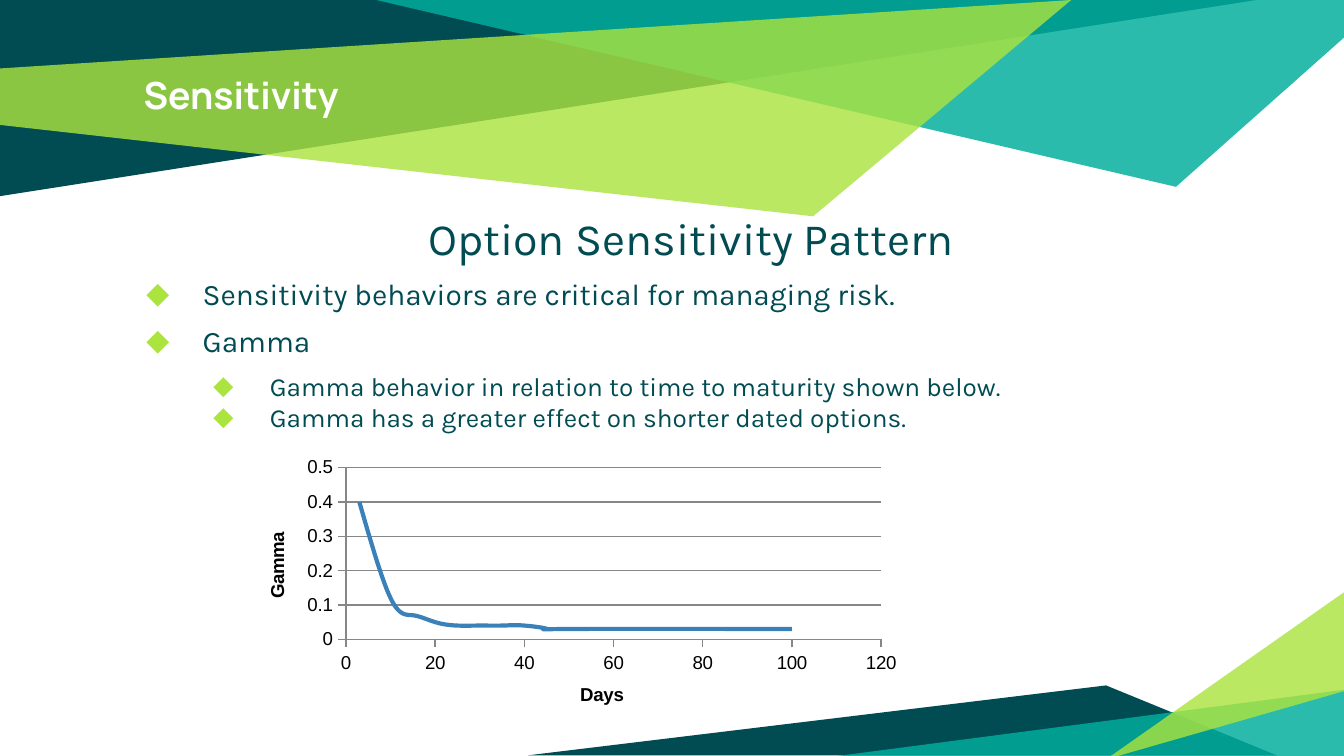
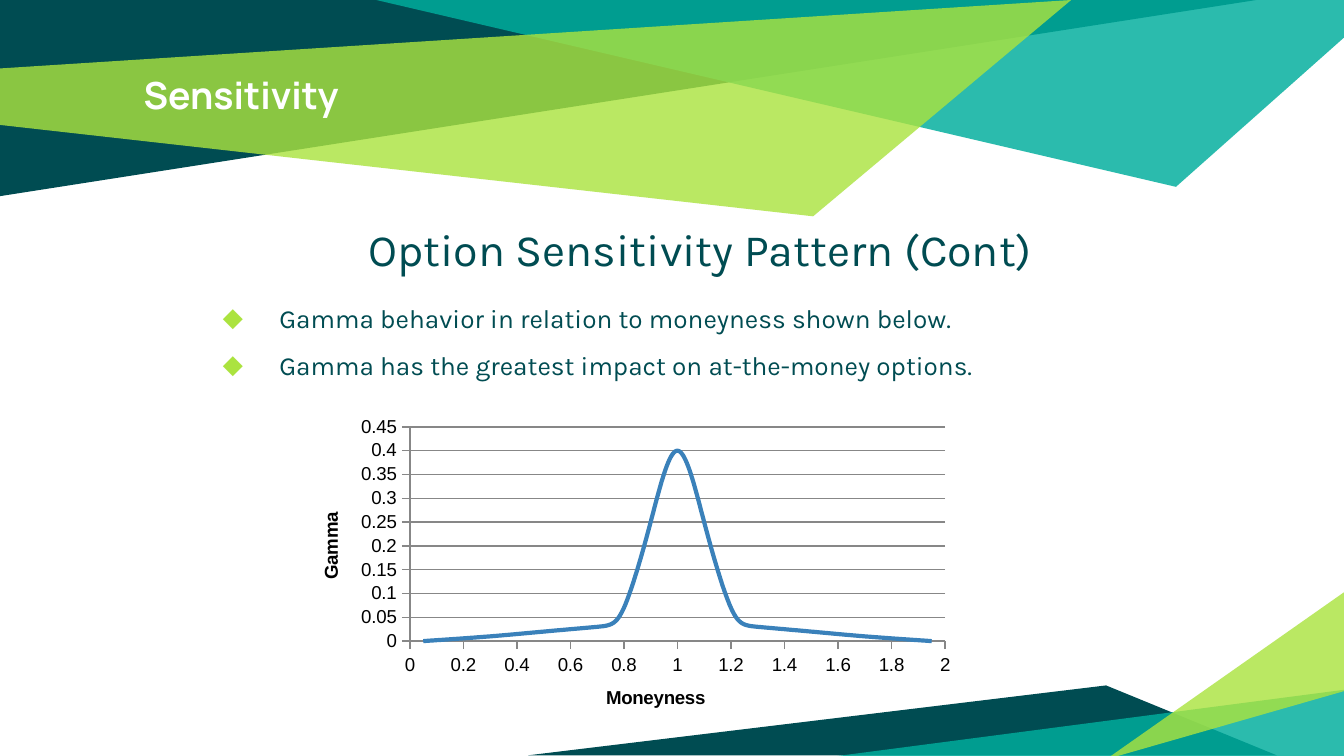
from lxml.etree import SubElement
from pptx import Presentation
from pptx.chart.data import XyChartData
from pptx.dml.color import RGBColor
from pptx.enum.chart import XL_CHART_TYPE, XL_TICK_MARK
from pptx.enum.text import MSO_ANCHOR, PP_ALIGN
from pptx.oxml.ns import qn
from pptx.util import Inches, Pt

DARK, TEAL, LIME = "004C52", "00AE9D", "ABE33F"
WHITE, BLACK, GRID, CURVE = "FFFFFF", "000000", "878787", "3A81BA"
HEAD_FONT, BODY_FONT, CHART_FONT = "Manrope", "Karla", "Arial"

# Points in inches, fill, opacity in percent; from back to front
BANDS = [
    ([(0, 0), (0, 1.46), (9.35, 0)], DARK, 100),
    ([(2.8, 0), (8.75, 1.39), (10, 0.28), (10, 0)], TEAL, 83),
    ([(-0.01, 0.51), (0, 0.93), (6.05, 1.61), (7.97, 0)], LIME, 81),
    ([(3.93, 5.62), (9.5, 5.62), (8.23, 5.1)], DARK, 100),
    ([(10.02, 5.13), (10.02, 5.65), (6.04, 5.65)], TEAL, 83),
    ([(10.01, 5.14), (10.01, 4.4), (8.23, 5.65)], LIME, 81),
]

GAMMA_BY_DAYS = [
    (3, 0.4), (10, 0.12), (15, 0.07), (20, 0.05), (25, 0.04), (30, 0.04),
    (35, 0.04), (40, 0.04), (45, 0.03), (50, 0.03), (100, 0.03),
]
GAMMA_BY_MONEYNESS = [
    (0.05, 0), (0.3, 0.01), (0.5, 0.02), (0.7, 0.03), (0.8, 0.07),
    (0.9, 0.25), (1, 0.4), (1.1, 0.25), (1.2, 0.07), (1.3, 0.03),
    (1.5, 0.02), (1.7, 0.01), (1.95, 0),
]


def rgb(color):
    return RGBColor.from_string(color)


def style_font(font, name, size, color, bold=False):
    font.name, font.size, font.bold = name, Pt(size), bold
    font.color.rgb = rgb(color)


def add_band(slide, points, color, opacity):
    start, *rest = [(Inches(x), Inches(y)) for x, y in points]
    builder = slide.shapes.build_freeform(*start)
    builder.add_line_segments(rest, close=True)
    sp = builder.convert_to_shape()
    sp.shadow.inherit = False
    sp.line.fill.background()
    sp.fill.solid()
    sp.fill.fore_color.rgb = rgb(color)
    if opacity < 100:
        clr = sp.fill._xPr.find(".//" + qn("a:srgbClr"))
        SubElement(clr, qn("a:alpha"), val=str(opacity * 1000))


def add_text_frame(slide, box):
    tf = slide.shapes.add_textbox(*map(Inches, box)).text_frame
    tf.word_wrap = True
    tf.vertical_anchor = MSO_ANCHOR.TOP
    tf.margin_left = tf.margin_right = Inches(0.1)
    tf.margin_top = tf.margin_bottom = Inches(0.1)
    return tf


def add_title(slide, text):
    p = add_text_frame(slide, (0.97, 0.44, 8.06, 0.64)).paragraphs[0]
    p.text = text
    style_font(p.runs[0].font, HEAD_FONT, 20, WHITE, bold=True)


def set_indent(p, left, first=0):
    pPr = p._p.get_or_add_pPr()
    pPr.set("marL", str(Inches(left)))
    pPr.set("indent", str(Inches(first)))
    return pPr


def add_bullet(p, left):
    pPr = set_indent(p, left, -0.42)
    clr = SubElement(pPr, qn("a:buClr"))
    SubElement(clr, qn("a:srgbClr"), val=LIME)
    SubElement(pPr, qn("a:buFont"), typeface=BODY_FONT)
    SubElement(pPr, qn("a:buChar"), char="◆")


def add_body(slide, box, heading, bullets, line_spacing=1.0):
    """Centred heading over bullets given as (level, space before, text)."""
    tf = add_text_frame(slide, box)
    p = tf.paragraphs[0]
    p.text = heading
    p.alignment = PP_ALIGN.CENTER
    p.space_before = Pt(6)
    set_indent(p, 0.08)
    style_font(p.runs[0].font, BODY_FONT, 24, DARK)
    for level, before, text in bullets:
        p = tf.add_paragraph()
        p.text = text
        p.level = level
        p.line_spacing = line_spacing
        p.space_before = Pt(before)
        add_bullet(p, 0.5 * (level + 1))
        style_font(p.runs[0].font, BODY_FONT, 16 - 2 * level, DARK)


def style_axis(axis, title, top, step):
    axis.minimum_scale, axis.maximum_scale, axis.major_unit = 0, top, step
    axis.major_tick_mark = XL_TICK_MARK.OUTSIDE
    axis.minor_tick_mark = XL_TICK_MARK.NONE
    axis.format.line.color.rgb = rgb(GRID)
    axis.tick_labels.number_format = "General"
    axis.tick_labels.number_format_is_linked = False
    axis.has_major_gridlines = False
    tf = axis.axis_title.text_frame
    tf.text = title
    style_font(tf.paragraphs[0].runs[0].font, CHART_FONT, 10, BLACK, bold=True)


def add_gamma_chart(slide, box, points, x_axis, y_axis):
    """Smooth curve; each axis is given as (title, maximum, step)."""
    data = XyChartData()
    series = data.add_series("Series 1")
    for x, y in points:
        series.add_data_point(x, y)
    chart = slide.shapes.add_chart(
        XL_CHART_TYPE.XY_SCATTER_SMOOTH_NO_MARKERS, *map(Inches, box), data
    ).chart
    chart.has_legend = chart.has_title = False
    style_font(chart.font, CHART_FONT, 10, BLACK)
    style_axis(chart.category_axis, *x_axis)
    style_axis(chart.value_axis, *y_axis)
    chart.value_axis.has_major_gridlines = True
    chart.value_axis.major_gridlines.format.line.color.rgb = rgb(GRID)
    plot = chart.plots[0]
    plot.vary_by_categories = False
    curve = plot.series[0]
    curve.format.line.color.rgb = rgb(CURVE)
    curve.format.line.width = Pt(2.25)
    curve._element.find(qn("c:smooth")).set("val", "1")


def add_slide(prs, title):
    slide = prs.slides.add_slide(prs.slide_layouts[6])
    for band in BANDS:
        add_band(slide, *band)
    add_title(slide, title)
    return slide


def main():
    prs = Presentation()
    prs.slide_width = Inches(10)
    prs.slide_height = Inches(10) * 9 // 16

    s = add_slide(prs, "Sensitivity")
    add_body(s, (0.91, 1.47, 8.38, 3.94), "Option Sensitivity Pattern", [
        (0, 6, "Sensitivity behaviors are critical for managing risk."),
        (0, 6, "Gamma"),
        (1, 6, "Gamma behavior in relation to time to maturity shown below."),
        (1, 0, "Gamma has a greater effect on shorter dated options."),
    ])
    add_gamma_chart(s, (1.77, 3.36, 5, 2.1), GAMMA_BY_DAYS,
                    ("Days", 120, 20), ("Gamma", 0.5, 0.1))

    s = add_slide(prs, "Sensitivity")
    add_body(s, (0.98, 1.55, 8.38, 3.78), "Option Sensitivity Pattern (Cont)", [
        (1, 6, "Gamma behavior in relation to moneyness shown below."),
        (1, 0, "Gamma has the greatest impact on at-the-money options."),
    ], line_spacing=1.5)
    add_gamma_chart(s, (2.17, 3.05, 5, 2.43), GAMMA_BY_MONEYNESS,
                    ("Moneyness", 2, 0.2), ("Gamma", 0.45, 0.05))

    prs.save("out.pptx")


if __name__ == "__main__":
    main()
